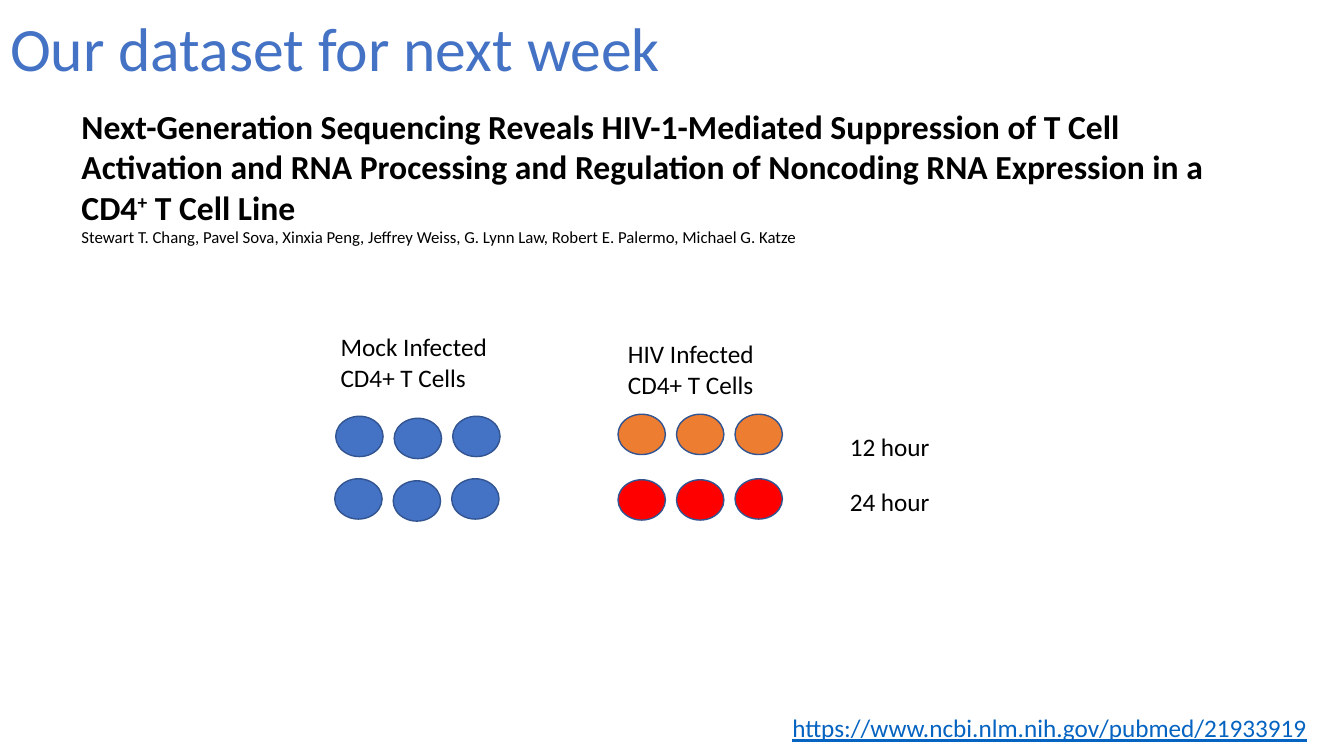
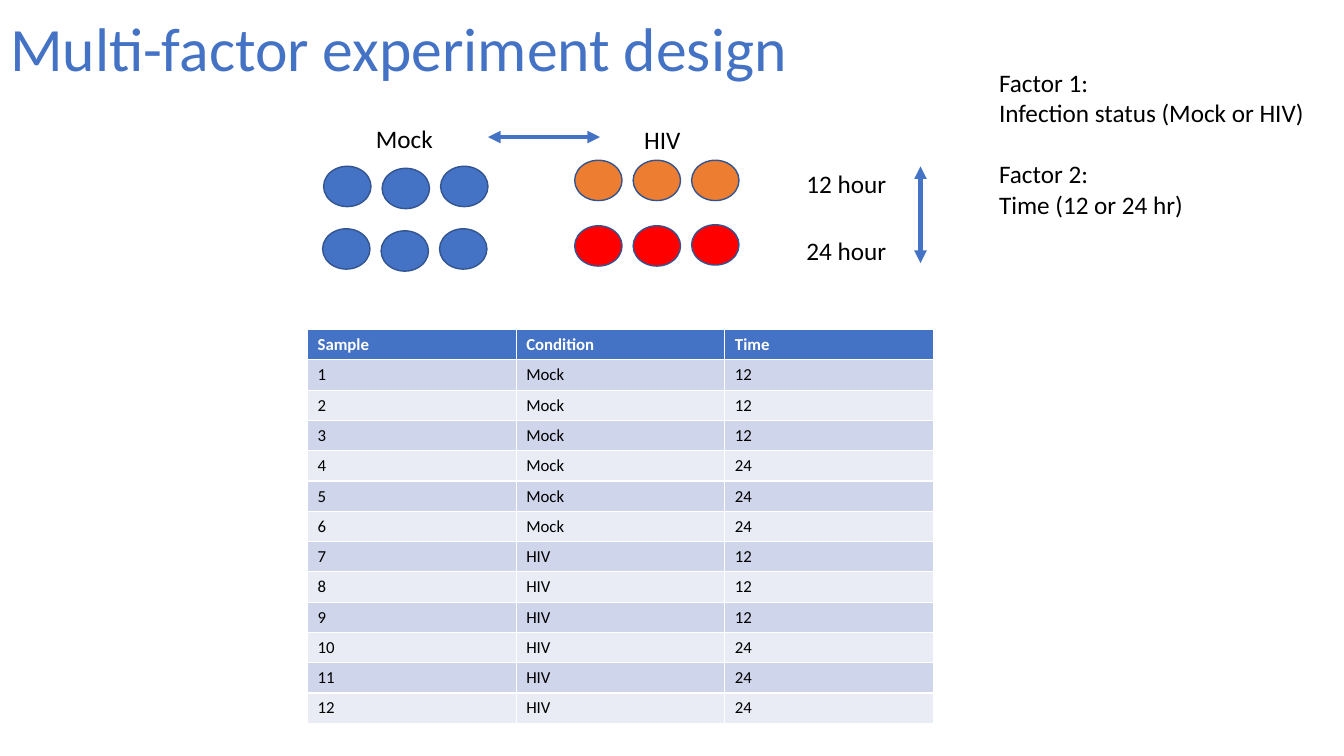
import lxml.etree
import pptx
import pptx.dml.color
import pptx.enum.shapes
import pptx.enum.text
import pptx.oxml.ns
import pptx.util

Inches = pptx.util.Inches
Pt = pptx.util.Pt
RGBColor = pptx.dml.color.RGBColor

BLUE = RGBColor(0x44, 0x72, 0xC4)
OUTLINE = RGBColor(0x32, 0x54, 0x91)
ORANGE = RGBColor(0xED, 0x7D, 0x31)
RED = RGBColor(0xFF, 0x00, 0x00)
LINK = RGBColor(0x05, 0x63, 0xC1)
BLACK = RGBColor(0x00, 0x00, 0x00)
WHITE = RGBColor(0xFF, 0xFF, 0xFF)
BAND_DARK = RGBColor(0xCF, 0xD5, 0xEA)
BAND_LIGHT = RGBColor(0xE9, 0xEB, 0xF5)


class DeckBuilder:
    """Holds the deck style and the current page, and draws each kind of element."""

    font_name = "Calibri"

    def __init__(self):
        self.deck = pptx.Presentation()
        self.deck.slide_width = Inches(13.33)
        self.deck.slide_height = Inches(7.5)
        self.page = None

    def style(self, span, size=18, color=BLACK, bold=False):
        span.font.name = self.font_name
        span.font.size = Pt(size)
        span.font.color.rgb = color
        span.font.bold = bold

    def new_page(self, title):
        self.page = self.deck.slides.add_slide(self.deck.slide_layouts[5])
        box = self.page.shapes.title
        box.left, box.top = Inches(0), Inches(0.05)
        box.width, box.height = Inches(11.5), Inches(0.92)
        frame = box.text_frame
        frame.text = title
        frame.auto_size = pptx.enum.text.MSO_AUTO_SIZE.NONE
        frame.vertical_anchor = pptx.enum.text.MSO_ANCHOR.MIDDLE
        para = frame.paragraphs[0]
        para.alignment = pptx.enum.text.PP_ALIGN.LEFT
        para.line_spacing = 0.9
        self.style(para.runs[0], 44, BLUE)

    def text(self, left, top, width, height, words, color=BLACK, wrap=True):
        box = self.page.shapes.add_textbox(
            Inches(left), Inches(top), Inches(width), Inches(height))
        frame = box.text_frame
        frame.text = words
        frame.word_wrap = wrap
        frame.auto_size = pptx.enum.text.MSO_AUTO_SIZE.SHAPE_TO_FIT_TEXT
        for para in frame.paragraphs:
            for span in para.runs:
                self.style(span, color=color)
        return frame

    def citation(self, left, top, width, height, title_parts, authors):
        start, raised, end = title_parts
        frame = self.text(left, top, width, height, start)
        heading = frame.paragraphs[0]
        for words in (raised, end):
            heading.add_run().text = words
        for span in heading.runs:
            self.style(span, 24, bold=True)
        heading.runs[1].font._element.set("baseline", "30000")
        byline = frame.add_paragraph()
        byline.text = authors
        self.style(byline.runs[0], 12)

    def cell_row(self, left, top, fill, drops):
        for column, drop in enumerate(drops):
            cell = self.page.shapes.add_shape(
                pptx.enum.shapes.MSO_SHAPE.OVAL, Inches(left + 0.58 * column),
                Inches(top + drop), Inches(0.47), Inches(0.4))
            cell.shadow.inherit = False
            cell.fill.solid()
            cell.fill.fore_color.rgb = fill
            cell.line.color.rgb = OUTLINE
            cell.line.width = Pt(1)

    def mock_cells(self, left, top):
        for shift, drop in ((0, 0), (-0.01, 0.62)):
            self.cell_row(left + shift, top + drop, BLUE, (0, 0.02, 0))

    def hiv_cells(self, left, top):
        self.cell_row(left, top, ORANGE, (0, 0, 0))
        self.cell_row(left, top + 0.65, RED, (0, 0, -0.01))

    def hours(self, left, top, gap):
        for row, words in enumerate(("12 hour", "24 hour")):
            self.text(left, top + row * gap, 1, 0.4, words, wrap=False)

    def double_arrow(self, start_x, start_y, end_x, end_y):
        arrow = self.page.shapes.add_connector(
            pptx.enum.shapes.MSO_CONNECTOR.STRAIGHT, Inches(start_x),
            Inches(start_y), Inches(end_x), Inches(end_y))
        arrow.line.color.rgb = BLUE
        arrow.line.width = Pt(3)
        qn = pptx.oxml.ns.qn
        properties = arrow._element.spPr
        line = properties.find(qn("a:ln"))
        for tag in ("a:headEnd", "a:tailEnd"):
            lxml.etree.SubElement(line, qn(tag), type="triangle")
        lxml.etree.SubElement(properties, qn("a:effectLst"))

    def table(self, left, top, column_width, row_height, rows):
        columns = len(rows[0])
        grid = self.page.shapes.add_table(
            len(rows), columns, Inches(left), Inches(top),
            Inches(column_width * columns), Inches(row_height * len(rows))).table
        for row, values in enumerate(rows):
            header = row == 0
            fill = BLUE if header else (BAND_LIGHT, BAND_DARK)[row % 2]
            for column, value in enumerate(values):
                cell = grid.cell(row, column)
                cell.text = str(value)
                cell.fill.solid()
                cell.fill.fore_color.rgb = fill
                self.style(cell.text_frame.paragraphs[0].runs[0], 12,
                           WHITE if header else BLACK, header)


def dataset_page(builder):
    builder.new_page("Our dataset for next week")
    builder.text(7.76, 7.02, 5.57, 0.4,
                 "https://www.ncbi.nlm.nih.gov/pubmed/21933919",
                 LINK, wrap=False).paragraphs[0].runs[0].font.underline = True
    builder.citation(
        0.71, 1, 11.91, 1.51,
        ("Next-Generation Sequencing Reveals HIV-1-Mediated Suppression of "
         "T Cell Activation and RNA Processing and Regulation of Noncoding "
         "RNA Expression in a CD4", "+", " T Cell Line"),
        "Stewart T. Chang, Pavel Sova, Xinxia Peng, Jeffrey Weiss, "
        "G. Lynn Law, Robert E. Palermo, Michael G. Katze")
    builder.text(3.28, 3.24, 1.66, 0.71, "Mock Infected CD4+ T Cells")
    builder.text(6.13, 3.31, 1.82, 0.71, "HIV Infected CD4+ T Cells")
    builder.mock_cells(3.33, 4.13)
    builder.hiv_cells(6.13, 4.11)
    builder.hours(8.33, 4.23, 0.55)


def design_page(builder):
    builder.new_page("Multi-factor experiment design")
    builder.text(3.63, 1.17, 0.84, 0.4, "Mock")
    builder.text(6.29, 1.18, 0.57, 0.4, "HIV", wrap=False)
    builder.mock_cells(3.21, 1.65)
    builder.hiv_cells(5.7, 1.59)
    builder.hours(7.9, 1.62, 0.67)
    builder.double_arrow(4.84, 1.36, 5.95, 1.36)
    builder.double_arrow(9.13, 1.65, 9.13, 2.61)
    factors = builder.text(
        9.81, 0.62, 3.49, 1.62,
        "Factor 1:\nInfection status (Mock or HIV)\nFactor 2:\nTime (12 or 24 hr)")
    factors.paragraphs[2].space_before = Pt(22)
    groups = [(condition, time) for condition in ("Mock", "HIV")
              for time in (12, 24) for replicate in range(3)]
    samples = [(number, *group) for number, group in enumerate(groups, 1)]
    builder.table(3.05, 3.27, 2.07, 0.3,
                  [("Sample", "Condition", "Time"), *samples])


def main():
    builder = DeckBuilder()
    dataset_page(builder)
    design_page(builder)
    builder.deck.save("out.pptx")


if __name__ == "__main__":
    main()
